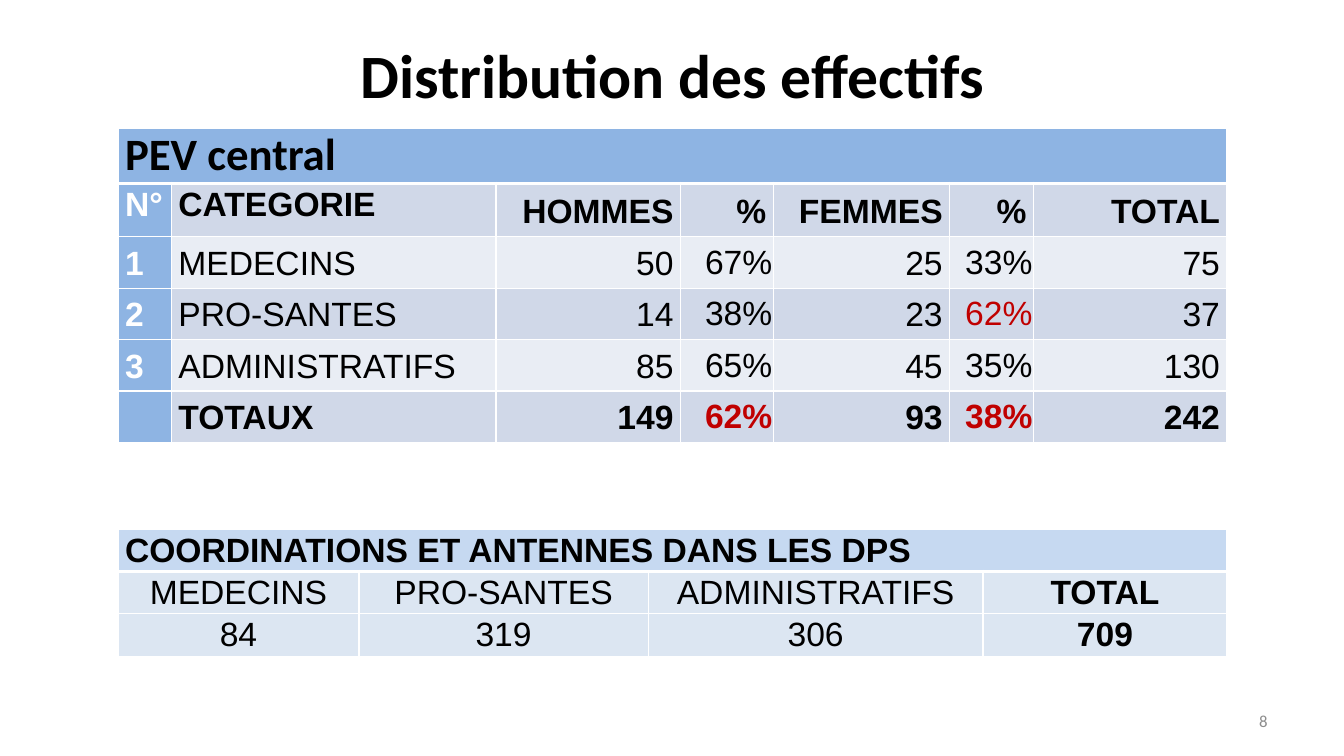
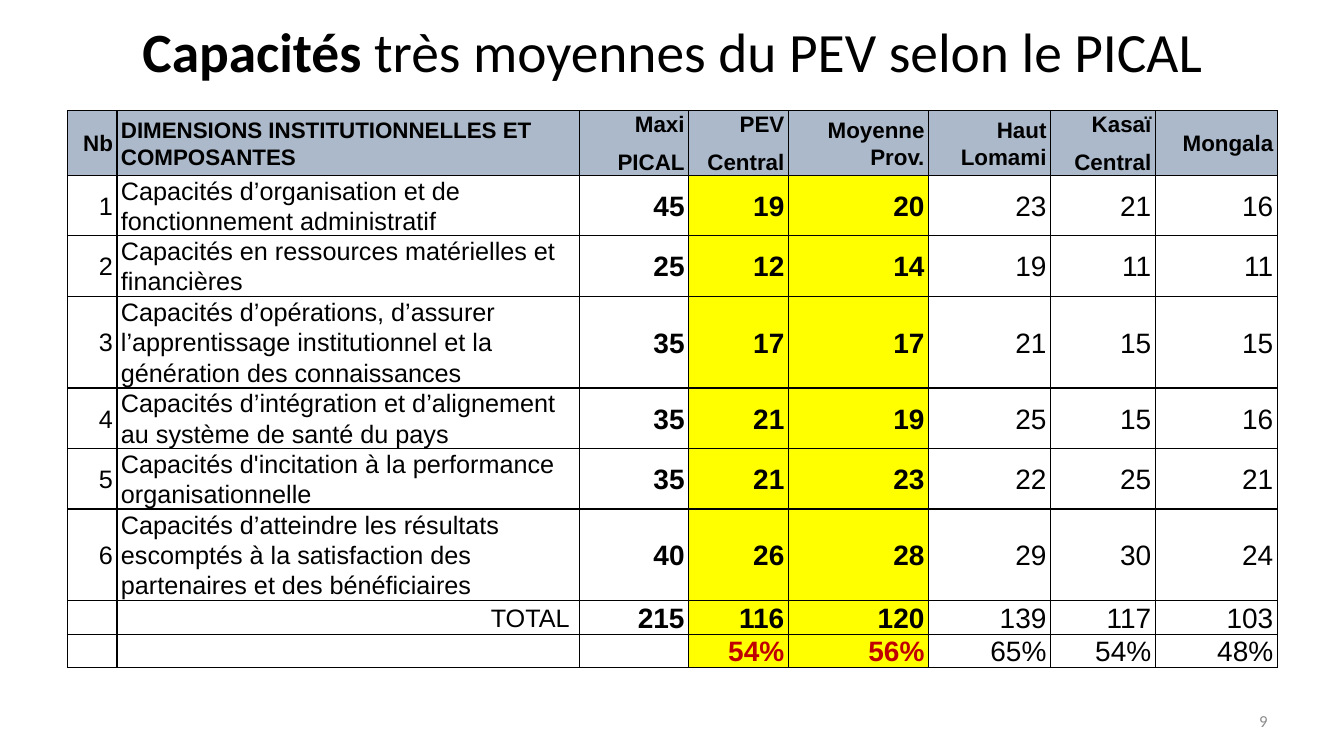
from dataclasses import dataclass

from lxml.etree import SubElement
from pptx import Presentation
from pptx.dml.color import RGBColor
from pptx.enum.text import MSO_ANCHOR, MSO_AUTO_SIZE, PP_ALIGN
from pptx.oxml.ns import qn
from pptx.util import Inches, Pt

BLACK = RGBColor(0x00, 0x00, 0x00)
WHITE = RGBColor(0xFF, 0xFF, 0xFF)
RED = RGBColor(0xC0, 0x00, 0x00)
GREY = RGBColor(0x8C, 0x8C, 0x8C)
YELLOW = RGBColor(0xFF, 0xFF, 0x00)
HEADER_BLUE = RGBColor(0x8E, 0xB4, 0xE3)
BAND_DARK = RGBColor(0xD0, 0xD8, 0xE8)
BAND_LIGHT = RGBColor(0xE9, 0xED, 0xF4)
REGION_HEADER = RGBColor(0xC6, 0xD9, 0xF1)
REGION_BODY = RGBColor(0xDC, 0xE6, 0xF2)
SLATE = RGBColor(0xAC, 0xB9, 0xCA)
HEADING_FONT = "Calibri"
TABLE_FONT = "Arial"

STAFF_ROWS = [
    ["PEV central"] + [""] * 6,
    ["N°", "CATEGORIE", "HOMMES", "%", "FEMMES", "%", "TOTAL"],
    ["1", "MEDECINS", "50", "67%", "25", "33%", "75"],
    ["2", "PRO-SANTES", "14", "38%", "23", "62%", "37"],
    ["3", "ADMINISTRATIFS", "85", "65%", "45", "35%", "130"],
    ["", "TOTAUX", "149", "62%", "93", "38%", "242"],
]
STAFF_RED_CELLS = {(3, 5), (5, 3), (5, 5)}

REGION_ROWS = [
    ["COORDINATIONS ET ANTENNES DANS LES DPS"] + [""] * 3,
    ["MEDECINS", "PRO-SANTES", "ADMINISTRATIFS", "TOTAL"],
    ["84", "319", "306", "709"],
]

CAPACITY_ROWS = [
    ["Nb", "DIMENSIONS INSTITUTIONNELLES ET COMPOSANTES", "Maxi\nPICAL", "PEV\nCentral",
     "Moyenne Prov.", "Haut Lomami", "Kasaï\nCentral", "Mongala"],
    ["1", "Capacités d’organisation et de fonctionnement administratif",
     "45", "19", "20", "23", "21", "16"],
    ["2", "Capacités en ressources matérielles et financières",
     "25", "12", "14", "19", "11", "11"],
    ["3", "Capacités d’opérations, d’assurer l’apprentissage institutionnel "
     "et la génération des connaissances", "35", "17", "17", "21", "15", "15"],
    ["4", "Capacités d’intégration et d’alignement au système de santé du pays",
     "35", "21", "19", "25", "15", "16"],
    ["5", "Capacités d'incitation à la performance organisationnelle",
     "35", "21", "23", "22", "25", "21"],
    ["6", "Capacités d’atteindre les résultats escomptés à la satisfaction "
     "des partenaires et des bénéficiaires", "40", "26", "28", "29", "30", "24"],
    ["", "TOTAL ", "215", "116", "120", "139", "117", "103"],
    ["", "", "", "54%", "56%", "65%", "54%", "48%"],
]


@dataclass
class CellStyle:
    size: float = 24
    bold: bool = False
    color: RGBColor = BLACK
    fill: RGBColor = None
    align: PP_ALIGN = PP_ALIGN.LEFT
    anchor: MSO_ANCHOR = MSO_ANCHOR.MIDDLE
    margin: float = 0.07
    spaced: bool = True
    font: str = TABLE_FONT


def set_font(font, name, size, color, bold=False):
    font.name = name
    font.size = Pt(size)
    font.bold = bold
    font.color.rgb = color


def add_title(slide, runs, top, height, size):
    title = slide.shapes.title
    title.left, title.top = Inches(0.67), Inches(top)
    title.width, title.height = Inches(12), Inches(height)
    frame = title.text_frame
    frame.auto_size = MSO_AUTO_SIZE.NONE
    frame.vertical_anchor = MSO_ANCHOR.MIDDLE
    paragraph = frame.paragraphs[0]
    paragraph.alignment = PP_ALIGN.CENTER
    for text, bold in runs:
        run = paragraph.add_run()
        run.text = text
        set_font(run.font, HEADING_FONT, size, BLACK, bold)


def add_page_number(slide, number):
    box = slide.shapes.add_textbox(Inches(9.56), Inches(6.95), Inches(3.11), Inches(0.4))
    frame = box.text_frame
    frame.word_wrap = True
    frame.vertical_anchor = MSO_ANCHOR.MIDDLE
    paragraph = frame.paragraphs[0]
    paragraph.text = str(number)
    paragraph.alignment = PP_ALIGN.RIGHT
    set_font(paragraph.font, HEADING_FONT, 12, GREY)


def set_borders(cell, color, widths):
    properties = cell._tc.get_or_add_tcPr()
    for side, width in zip("LRTB", widths):
        line = SubElement(properties, qn(f"a:ln{side}"), w=str(Pt(width)))
        fill = SubElement(line, qn("a:solidFill"))
        SubElement(fill, qn("a:srgbClr"), val=str(color))


def format_cell(cell, text, style):
    cell.margin_left = cell.margin_right = Inches(style.margin)
    cell.margin_top = cell.margin_bottom = 0
    cell.vertical_anchor = style.anchor
    if style.fill is None:
        cell.fill.background()
    else:
        cell.fill.solid()
        cell.fill.fore_color.rgb = style.fill
    cell.text_frame.text = text
    for paragraph in cell.text_frame.paragraphs:
        paragraph.alignment = style.align
        if style.spaced:
            paragraph.line_spacing = 1.07
            paragraph.space_after = Pt(8)
        set_font(paragraph.font, style.font, style.size, style.color, style.bold)


def add_table(slide, position, widths, heights, rows, style_for, border, banner=False):
    left, top = position
    table = slide.shapes.add_table(
        len(rows), len(widths), Inches(left), Inches(top),
        Inches(sum(widths)), Inches(sum(heights))).table
    table.first_row = table.horz_banding = False
    for column, width in zip(table.columns, widths):
        column.width = Inches(width)
    for row, height in zip(table.rows, heights):
        row.height = Inches(height)
    for row_index, row in enumerate(rows):
        top_width = 3 if banner and row_index == 1 else 1
        bottom_width = 3 if banner and row_index == 0 else 1
        for column_index, text in enumerate(row):
            cell = table.cell(row_index, column_index)
            set_borders(cell, border, (1, 1, top_width, bottom_width))
            format_cell(cell, text, style_for(row_index, column_index))
    if banner:
        table.cell(0, 0).merge(table.cell(0, len(widths) - 1))


def staff_style(row, column):
    if row == 0:
        return CellStyle(size=32, bold=True, fill=HEADER_BLUE, anchor=MSO_ANCHOR.TOP,
                         spaced=False, font=HEADING_FONT)
    style = CellStyle(bold=row in (1, 5) or column == 0,
                      fill=BAND_DARK if row % 2 else BAND_LIGHT)
    if column == 0:
        style.color, style.fill = WHITE, HEADER_BLUE
    if column > 1:
        style.align = PP_ALIGN.RIGHT
    elif row == 1:
        style.anchor = MSO_ANCHOR.TOP
    if row > 1 and column in (3, 5):
        style.margin, style.spaced = 0.01, False
    if (row, column) in STAFF_RED_CELLS:
        style.color = RED
    return style


def region_style(row, column):
    if row == 0:
        return CellStyle(bold=True, fill=REGION_HEADER, anchor=MSO_ANCHOR.TOP)
    return CellStyle(bold=column == 3, fill=REGION_BODY, align=PP_ALIGN.CENTER,
                     anchor=MSO_ANCHOR.TOP)


def capacity_style(row, column):
    style = CellStyle(size=18 if column < 2 else 20, bold=column in (2, 3, 4),
                      align=PP_ALIGN.RIGHT, margin=0.04)
    if column == 1 and row < 7:
        style.align = PP_ALIGN.LEFT
    if row == 0:
        style.size, style.bold, style.fill = 16, True, SLATE
    elif column in (3, 4):
        style.fill = YELLOW
        style.color = RED if row == 8 else BLACK
    elif row == 8 and column == 2:
        style.size = 18
    return style


def add_staff_slide(slide):
    add_title(slide, [("Distribution des effectifs", True)], 0.3, 0.87, 44)
    add_table(slide, (1.17, 1.27), [0.53, 3.22, 1.83, 0.92, 1.75, 0.83, 1.92],
              [0.55, 0.53] + [0.51] * 4, STAFF_ROWS, staff_style, WHITE, banner=True)
    add_table(slide, (1.17, 5.25), [2.39, 2.87, 3.32, 2.42],
              [0.42] * 3, REGION_ROWS, region_style, WHITE, banner=True)


def add_capacity_slide(slide):
    add_title(slide, [("Capacités", True), (" très moyennes du PEV selon le PICAL", False)],
              0.15, 0.7, 39.6)
    add_table(slide, (0.67, 1.1), [0.49, 4.59, 1.08, 0.99, 1.39, 1.21, 1.04, 1.21],
              [0.64, 0.6, 0.6, 0.91, 0.6, 0.6, 0.91, 0.32, 0.32],
              CAPACITY_ROWS, capacity_style, BLACK)


def main():
    presentation = Presentation()
    presentation.slide_width, presentation.slide_height = Inches(13.33), Inches(7.5)
    title_only = presentation.slide_layouts[5]
    for number, build in enumerate([add_staff_slide, add_capacity_slide], start=8):
        slide = presentation.slides.add_slide(title_only)
        build(slide)
        add_page_number(slide, number)
    presentation.save("out.pptx")


if __name__ == "__main__":
    main()
